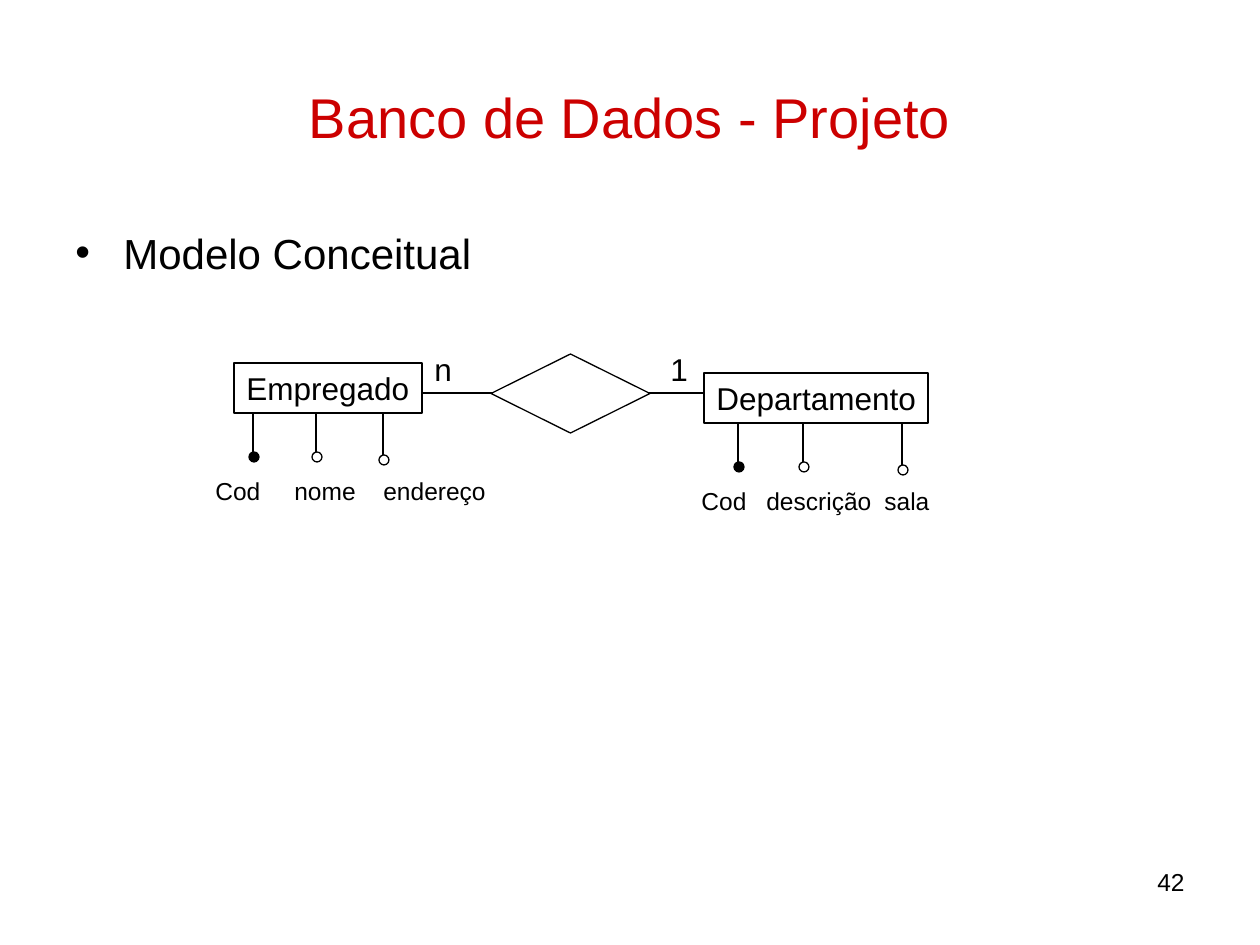
from pptx import Presentation
from pptx import util as u
from pptx.dml.color import RGBColor
from pptx.enum import shapes, text
from pptx.oxml.ns import qn
from lxml import etree

PX_PER_INCH = 126
FONT, BLACK, WHITE, RED = "Arial", "000000", "FFFFFF", "CC0000"

TITLE = "Banco de Dados - Projeto"
TOPIC = "Modelo Conceitual"
PAGE_NUMBER = "42"

# Entity: name, box, attribute stems (x, top, is key), attribute names, label box, tab stops
ENTITIES = [
    ("Empregado", (234, 363, 188, 50),
     [(253, 403, True), (316, 403, False), (383, 406, False)],
     ["Cod", "nome", "endereço"], (203, 470, 300, 43), [79, 168]),
    ("Departamento", (704, 373, 224, 50),
     [(738, 413, True), (803, 413, False), (902, 416, False)],
     ["Cod", "descrição", "sala"], (689, 480, 260, 43), [65, 183]),
]
RELATION_LINE = (412, 393, 719, 393)
RELATION = (491, 354, 159, 79)
CARDINALITIES = [("n", (422, 344, 43, 50)), ("1", (658, 344, 43, 50))]
STEM, DOT = 49, 10


def px(value):
    return round(value * u.Inches(1) / PX_PER_INCH)


def color(value):
    return RGBColor.from_string(value)


def write(shape, content, size, fill=BLACK, align=text.PP_ALIGN.LEFT,
          anchor=text.MSO_ANCHOR.TOP, wrap=True):
    frame = shape.text_frame
    frame.word_wrap = wrap
    frame.vertical_anchor = anchor
    paragraph = frame.paragraphs[0]
    paragraph.alignment = align
    run = paragraph.add_run()
    run.text = content
    run.font.name, run.font.size = FONT, u.Pt(size)
    run.font.color.rgb = color(fill)
    return paragraph


def add_text(slide, box, content, size, **options):
    shape = slide.shapes.add_textbox(*map(px, box))
    return write(shape, content, size, **options)


def add_shape(slide, kind, box, fill=WHITE):
    shape = slide.shapes.add_shape(kind, *map(px, box))
    shape.shadow.inherit = False
    shape.fill.solid()
    shape.fill.fore_color.rgb = color(fill)
    shape.line.color.rgb = color(BLACK)
    shape.line.width = u.Pt(0.75)
    return shape


def add_line(slide, ends):
    line = slide.shapes.add_connector(shapes.MSO_CONNECTOR.STRAIGHT, *map(px, ends))
    line.line.color.rgb = color(BLACK)
    line.line.width = u.Pt(0.75)
    etree.SubElement(line._element.spPr, qn("a:effectLst"))


def add_bullet(paragraph, indent):
    properties = paragraph._p.get_or_add_pPr()
    properties.set("marL", str(px(indent)))
    properties.set("indent", str(-px(indent)))
    etree.SubElement(properties, qn("a:buFont"), typeface=FONT)
    etree.SubElement(properties, qn("a:buChar"), char="•")


def add_tabs(paragraph, stops):
    tabs = etree.SubElement(paragraph._p.get_or_add_pPr(), qn("a:tabLst"))
    for stop in stops:
        etree.SubElement(tabs, qn("a:tab"), pos=str(px(stop)), algn="l")


def add_entity(slide, name, box, stems, attributes, label_box, stops):
    for x, top, is_key in stems:
        bottom = top + STEM
        add_line(slide, (x, top, x, bottom))
        add_shape(slide, shapes.MSO_SHAPE.OVAL, (x - 4, bottom, DOT, DOT),
                  BLACK if is_key else WHITE)
    rectangle = add_shape(slide, shapes.MSO_SHAPE.RECTANGLE, box)
    write(rectangle, name, 18, wrap=False)
    add_tabs(add_text(slide, label_box, "\t".join(attributes), 14), stops)


def main():
    presentation = Presentation()
    presentation.slide_width, presentation.slide_height = px(1260), px(945)
    slide = presentation.slides.add_slide(presentation.slide_layouts[5])

    # Title and topic
    title = slide.shapes.title
    title.left, title.top, title.width, title.height = map(px, (63, 38, 1134, 157))
    write(title, TITLE, 32, RED, text.PP_ALIGN.CENTER, text.MSO_ANCHOR.MIDDLE)
    add_bullet(add_text(slide, (63, 221, 1134, 624), TOPIC, 24), 48)

    # Entity-relationship diagram
    add_line(slide, RELATION_LINE)
    for entity in ENTITIES:
        add_entity(slide, *entity)
    add_shape(slide, shapes.MSO_SHAPE.FLOWCHART_DECISION, RELATION)
    for label, box in CARDINALITIES:
        add_text(slide, box, label, 18, wrap=False)

    # Page number
    add_text(slide, (903, 861, 294, 66), PAGE_NUMBER, 14, align=text.PP_ALIGN.RIGHT)

    presentation.save("out.pptx")


if __name__ == "__main__":
    main()
